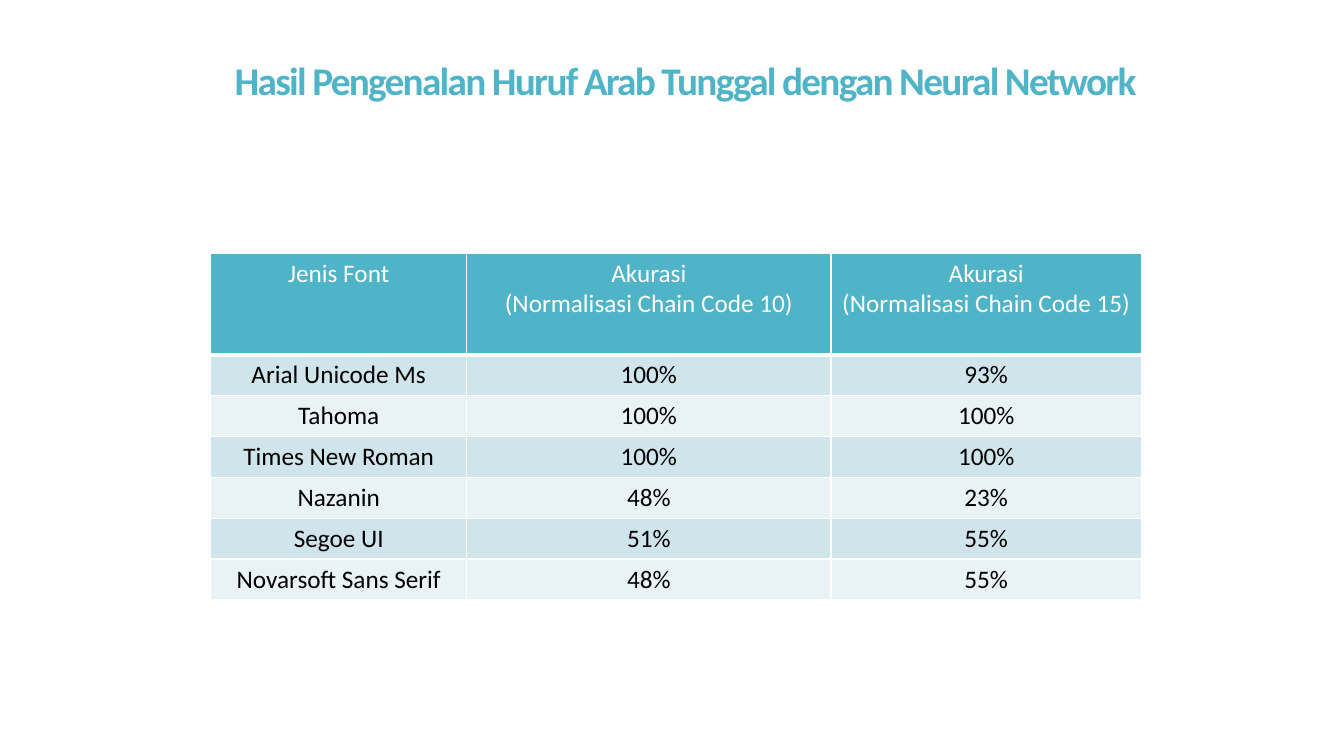
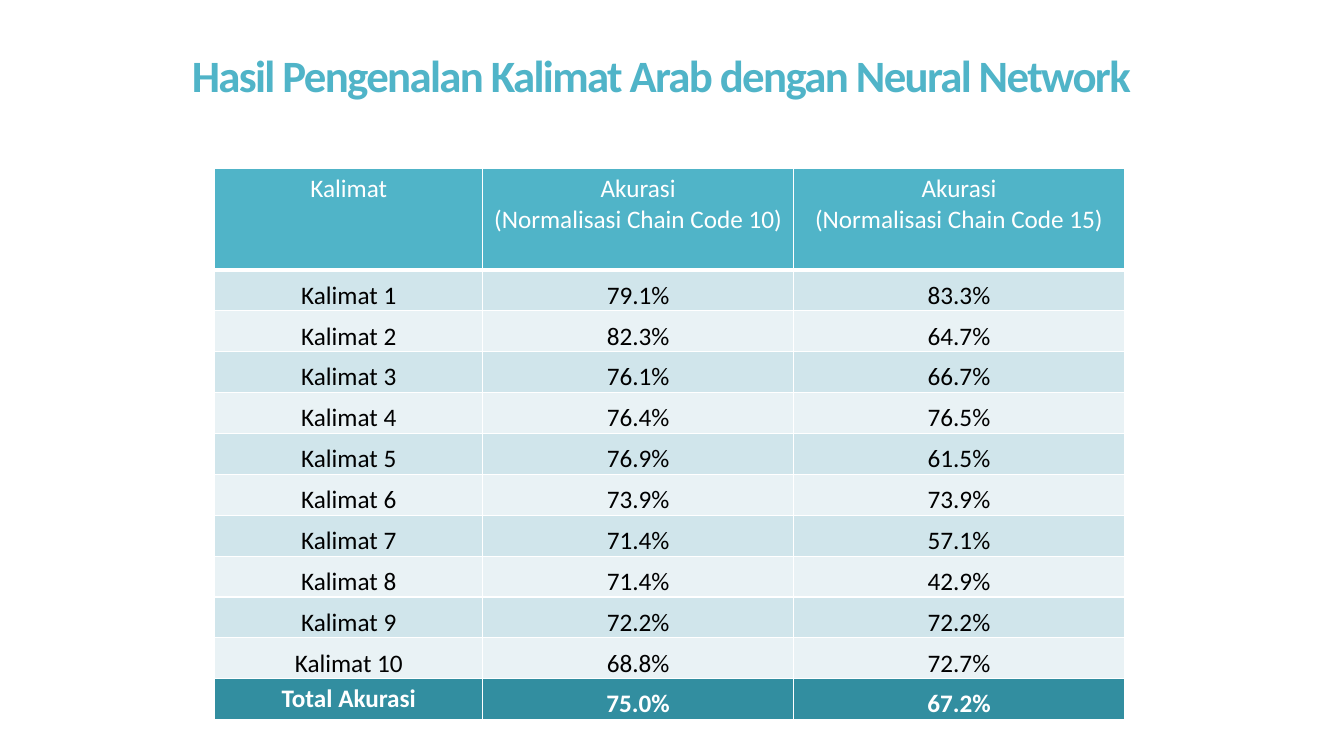
from dataclasses import dataclass
from typing import Any

from lxml.etree import SubElement as Sub
from pptx import Presentation
from pptx.dml.color import RGBColor as Rgb
from pptx.enum.text import MSO_ANCHOR as Anchor, MSO_AUTO_SIZE as Fit, PP_ALIGN as Align
from pptx.oxml.ns import qn
from pptx.util import Inches, Length, Pt

WIDE, HIGH = Inches(13.33), Inches(7.5)


@dataclass(frozen=True)
class Theme:
    """Colours, font and type sizes of the deck."""
    font: str = "Calibri"
    main: str = "50B4C8"
    dark: str = "328EA0"
    bands: tuple[str, str] = ("D0E5EB", "E9F2F5")
    ink: str = "000000"
    white: str = "FFFFFF"
    text: int = 18
    track: float = -1.2
    lead: float = 0.85


@dataclass(frozen=True)
class Title:
    """A slide title, placed in percent of the slide."""
    text: str
    left: float
    top: float
    size: int
    pad: float = 0.1


@dataclass(frozen=True)
class Grid:
    """A table, placed and sized in percent of the slide."""
    left: float
    top: float
    cols: tuple[float, ...]
    rows: list[tuple[str, ...]]
    low: bool = False
    total: bool = False


@dataclass(frozen=True)
class Look:
    """The look of one table cell."""
    fill: str
    ink: str
    bold: bool = False
    low: bool = False
    rule: int = 1


THEME = Theme()
TITLE_W, TITLE_H = 84.3, 7.47
HEAD_H, ROW_H = 13.45, 5.41
HEADS = tuple(f"Akurasi\n(Normalisasi Chain Code {n})" for n in (10, 15))

FONTS = [
    ("Jenis Font", *HEADS),
    ("Arial Unicode Ms", "100%", "93%"),
    ("Tahoma", "100%", "100%"),
    ("Times New Roman", "100%", "100%"),
    ("Nazanin", "48%", "23%"),
    ("Segoe UI", "51%", "55%"),
    ("Novarsoft Sans Serif", "48%", "55%"),
]
SCORES = [
    ("79.1%", "83.3%"), ("82.3%", "64.7%"), ("76.1%", "66.7%"), ("76.4%", "76.5%"),
    ("76.9%", "61.5%"), ("73.9%", "73.9%"), ("71.4%", "57.1%"), ("71.4%", "42.9%"),
    ("72.2%", "72.2%"), ("68.8%", "72.7%"),
]
LINES = [
    ("Kalimat", *HEADS),
    *((f"Kalimat {n}", *pair) for n, pair in enumerate(SCORES, 1)),
    ("Total Akurasi", "75.0%", "67.2%"),
]
PAGES = [
    (Title("Hasil Pengenalan Huruf Arab Tunggal dengan Neural Network", 5.1, 7.33, 28, 1.1),
     Grid(15.68, 33.47, (19.05, 27.1, 23.1), FONTS)),
    (Title("Hasil Pengenalan Kalimat Arab dengan Neural Network", 7.05, 6.67, 32),
     Grid(15.98, 22.27, (19.95, 23.1, 24.65), LINES, low=True, total=True)),
]


def span(part: float, whole: Length) -> Length:
    """Turn a percentage of a slide side into a length."""
    return Length(round(whole * part / 100))


def put(item: Any, vals: dict[str, Any]) -> None:
    """Set each named attribute of an item."""
    for name, val in vals.items():
        setattr(item, name, val)


def style(par: Any, size: int, ink: str, bold: bool) -> None:
    """Centre a paragraph and format its runs."""
    par.alignment = Align.CENTER
    for run in par.runs:
        put(run.font, {"name": THEME.font, "size": Pt(size), "bold": bold})
        run.font.color.rgb = Rgb.from_string(ink)


def head(slide: Any, title: Title) -> None:
    """Place and format the title placeholder."""
    box = slide.shapes.title
    put(box, {"left": span(title.left, WIDE), "top": span(title.top, HIGH),
              "width": span(TITLE_W, WIDE), "height": span(TITLE_H, HIGH)})
    frame = box.text_frame
    put(frame, {"text": title.text, "word_wrap": True, "auto_size": Fit.NONE,
                "vertical_anchor": Anchor.MIDDLE, "margin_left": Inches(title.pad)})
    par = frame.paragraphs[0]
    par.line_spacing = THEME.lead
    style(par, title.size, THEME.main, True)
    par.runs[0].font._element.set("spc", str(round(THEME.track * 100)))


def edge(cell: Any, rule: int) -> None:
    """Draw white borders, with the given weight below."""
    props = cell._tc.get_or_add_tcPr()
    for side, wide in {"lnL": 1, "lnR": 1, "lnT": 1, "lnB": rule}.items():
        line = Sub(props, qn(f"a:{side}"), w=str(Pt(wide)))
        Sub(Sub(line, qn("a:solidFill")), qn("a:srgbClr"), val=THEME.white)


def fill(cell: Any, text: str, look: Look) -> None:
    """Write and format one table cell."""
    cell.text = text
    if look.low:
        thin = Inches(0.01)
        put(cell, {"vertical_anchor": Anchor.BOTTOM, "margin_left": thin,
                   "margin_top": thin, "margin_right": thin, "margin_bottom": 0})
    edge(cell, look.rule)
    cell.fill.solid()
    cell.fill.fore_color.rgb = Rgb.from_string(look.fill)
    for par in cell.text_frame.paragraphs:
        style(par, THEME.text, look.ink, look.bold)


def pick(grid: Grid, row: int, col: int) -> Look:
    """Choose the look of a cell from its place."""
    if row == 0:
        return Look(THEME.main, THEME.white, rule=3)
    if grid.total and row == len(grid.rows) - 1:
        return Look(THEME.dark, THEME.white, bold=True, low=col > 0)
    return Look(THEME.bands[(row - 1) % 2], THEME.ink, low=grid.low)


def draw(slide: Any, grid: Grid) -> None:
    """Draw the table of a slide."""
    sizes = [HEAD_H] + [ROW_H] * (len(grid.rows) - 1)
    table = slide.shapes.add_table(
        len(sizes), len(grid.cols), span(grid.left, WIDE), span(grid.top, HIGH),
        span(sum(grid.cols), WIDE), span(sum(sizes), HIGH)).table
    for col, wide in zip(table.columns, grid.cols):
        col.width = span(wide, WIDE)
    for row, high in zip(table.rows, sizes):
        row.height = span(high, HIGH)
    for r, texts in enumerate(grid.rows):
        for c, text in enumerate(texts):
            fill(table.cell(r, c), text, pick(grid, r, c))


def main() -> None:
    """Build and save the deck."""
    deck = Presentation()
    put(deck, {"slide_width": WIDE, "slide_height": HIGH})
    for title, grid in PAGES:
        slide = deck.slides.add_slide(deck.slide_layouts[5])
        head(slide, title)
        draw(slide, grid)
    deck.save("out.pptx")


if __name__ == "__main__":
    main()
